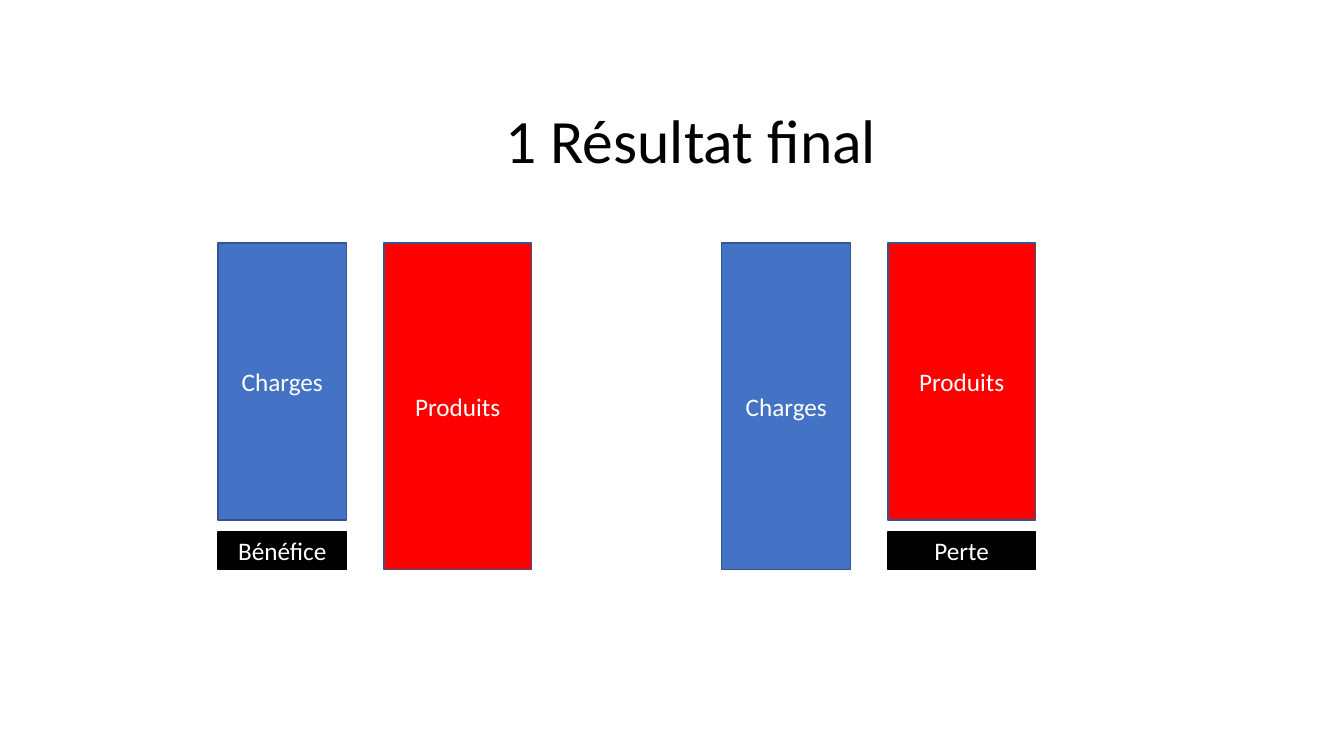
from pptx import Presentation
from pptx.dml.color import RGBColor
from pptx.enum.shapes import MSO_SHAPE
from pptx.enum.text import MSO_ANCHOR, PP_ALIGN
from pptx.util import Cm, Pt

BLUE = RGBColor(0x44, 0x72, 0xC4)
OUTLINE = RGBColor(0x32, 0x54, 0x91)
RED = RGBColor(0xFF, 0x00, 0x00)
BLACK = RGBColor(0x00, 0x00, 0x00)
WHITE = RGBColor(0xFF, 0xFF, 0xFF)

TOP = 6.12
FULL_HEIGHT = 8.23
SHORT_HEIGHT = 6.99
RESULT_HEIGHT = 0.94
CHARGES_WIDTH = 3.25
PRODUITS_WIDTH = 3.71
PRODUITS_OFFSET = 4.19


def write_text(shape, text, size, color):
    """Write one centred line of text in a shape."""
    frame = shape.text_frame
    frame.word_wrap = True
    frame.vertical_anchor = MSO_ANCHOR.MIDDLE
    paragraph = frame.paragraphs[0]
    paragraph.text = text
    paragraph.alignment = PP_ALIGN.CENTER
    paragraph.font.name = "Calibri"
    paragraph.font.size = Pt(size)
    paragraph.font.color.rgb = color
    return paragraph


def add_title(slide, text):
    """Add the slide title."""
    title = slide.shapes.add_textbox(Cm(8.74), Cm(1.78), Cm(17.35), Cm(3.68))
    write_text(title, text, 44, BLACK).line_spacing = 0.9


def add_block(slide, text, left, top, width, height, fill, outline=OUTLINE):
    """Add a filled rectangle with a white label."""
    block = slide.shapes.add_shape(
        MSO_SHAPE.RECTANGLE, Cm(left), Cm(top), Cm(width), Cm(height))
    block.shadow.inherit = False
    block.fill.solid()
    block.fill.fore_color.rgb = fill
    block.line.color.rgb = outline
    block.line.width = Pt(1)
    write_text(block, text, 18, WHITE)


def add_comparison(slide, left, result, short_column):
    """Add both columns, with the result completing the shorter one."""
    columns = (
        ("Charges", left, CHARGES_WIDTH, BLUE),
        ("Produits", left + PRODUITS_OFFSET, PRODUITS_WIDTH, RED),
    )
    for label, column_left, width, fill in columns:
        is_short = label == short_column
        height = SHORT_HEIGHT if is_short else FULL_HEIGHT
        add_block(slide, label, column_left, TOP, width, height, fill)
        if is_short:
            result_top = TOP + FULL_HEIGHT - RESULT_HEIGHT
            add_block(slide, result, column_left, result_top, width,
                      RESULT_HEIGHT, BLACK, BLACK)


def main():
    """Build and save the slide."""
    presentation = Presentation()
    presentation.slide_width = Cm(33.87)
    presentation.slide_height = Cm(19.05)
    slide = presentation.slides.add_slide(presentation.slide_layouts[6])
    add_title(slide, "1 Résultat final")
    add_comparison(slide, 5.49, "Bénéfice", "Charges")
    add_comparison(slide, 18.19, "Perte", "Produits")
    presentation.save("out.pptx")


if __name__ == "__main__":
    main()
